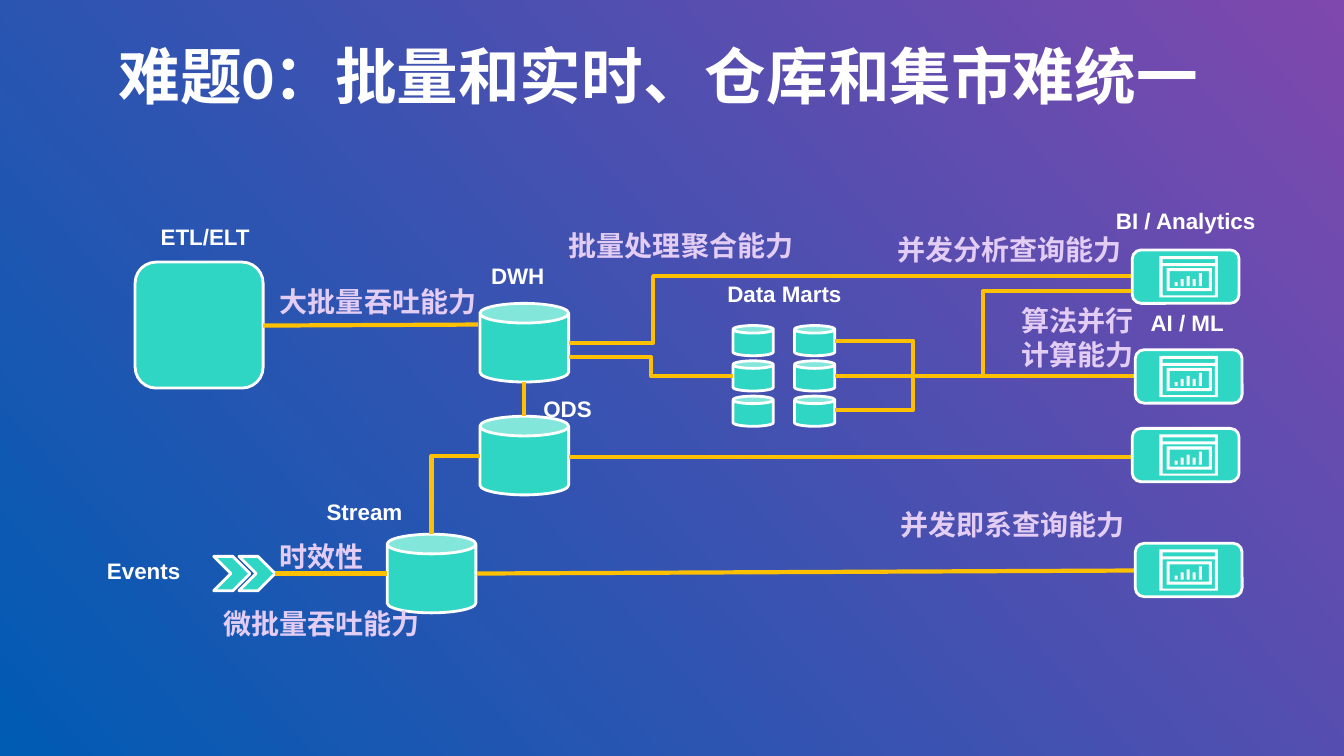
"""Draw the slide on why batch and live data, warehouse and marts are hard to unify."""
from lxml import etree
from pptx import Presentation
from pptx import util as u
from pptx.dml import color
from pptx.enum import shapes, text
from pptx.oxml import ns

I = u.Inches
KIND = shapes.MSO_SHAPE


def hue(code):
    return color.RGBColor.from_string(code)


def put(item, **vals):
    for key, val in vals.items():
        setattr(item, key, val)


class Board:
    """Holds the style and the slide being drawn."""

    teal, white, gold, lilac = "2FD6C3", "FFFFFF", "FFC000", "E4CDF5"
    head = dict(size=u.Pt(44), name="Calibri", bold=True)
    label = dict(size=u.Pt(16), name="Arial", bold=True)
    note = dict(size=u.Pt(20), name="Arial", bold=True)
    inset = dict(margin_left=I(0.05), margin_right=I(0.05),
                 margin_top=I(0.02), margin_bottom=I(0.02), word_wrap=True)

    def __init__(self, deck):
        self.slide = deck.slides.add_slide(deck.slide_layouts[5])
        self.items = self.slide.shapes

    def ground(self, low, high, angle):
        fill = self.slide.background.fill
        fill.gradient()
        fill.gradient_angle = angle
        for stop, code, spot in zip(fill.gradient_stops, (low, high), (0, 1)):
            stop.color.rgb = hue(code)
            stop.position = spot

    def title(self, words, x, y, w, h):
        box = self.items.title
        put(box, left=I(x), top=I(y), width=I(w), height=I(h))
        put(box.text_frame, text=words, vertical_anchor=text.MSO_ANCHOR.MIDDLE,
            auto_size=text.MSO_AUTO_SIZE.NONE)
        para = box.text_frame.paragraphs[0]
        put(para, alignment=text.PP_ALIGN.LEFT, line_spacing=0.9)
        put(para.font, **self.head)
        para.font.color.rgb = hue(self.white)

    def words(self, lines, x, y, w, h, font, code, gap=0):
        frame = self.items.add_textbox(I(x), I(y), I(w), I(h)).text_frame
        put(frame, text=lines, auto_size=text.MSO_AUTO_SIZE.SHAPE_TO_FIT_TEXT,
            **self.inset)
        for rank, para in enumerate(frame.paragraphs):
            para.alignment = text.PP_ALIGN.CENTER
            put(para.font, **font)
            para.font.color.rgb = hue(code)
            if rank and gap:
                para.space_before = u.Pt(gap)

    def paint(self, shape, code, edge=None):
        shape.shadow.inherit = False
        shape.fill.solid()
        shape.fill.fore_color.rgb = hue(code)
        if edge:
            shape.line.color.rgb = hue(edge)
            shape.line.width = u.Pt(2)
        else:
            shape.line.fill.background()

    def block(self, kind, x, y, w, h):
        shape = self.items.add_shape(kind, I(x), I(y), I(w), I(h))
        self.paint(shape, self.teal, self.white)

    def bar(self, x, y, w, h):
        shape = self.items.add_shape(KIND.RECTANGLE, I(x), I(y), I(w), I(h))
        self.paint(shape, self.white)

    def frame(self, x, y, rings):
        pen = None
        for left, top, right, low in rings:
            pts = [(I(x + a), I(y + b)) for a, b in
                   ((left, top), (right, top), (right, low), (left, low))]
            if pen is None:
                pen = self.items.build_freeform(*pts[0])
            else:
                pen.move_to(*pts[0])
            pen.add_line_segments(pts[1:], close=True)
        self.paint(pen.convert_to_shape(), self.white)

    def screen(self, x, y):
        self.block(KIND.ROUNDED_RECTANGLE, x, y, 1.06, 0.53)
        x, y = 11.5, y + 0.06
        self.frame(x, y, [(0.07, 0.12, 0.52, 0.35), (0.1, 0.15, 0.49, 0.32)])
        self.frame(x, y, [(0, 0, 0.58, 0.41), (0.03, 0.03, 0.55, 0.07),
                          (0.03, 0.1, 0.55, 0.39)])
        for rank, tall in enumerate((0.04, 0.07, 0.1, 0.07, 0.13)):
            self.bar(x + 0.15 + 0.06 * rank, y + 0.3 - tall, 0.03, tall)

    def link(self, x1, y1, x2, y2, bend=None, preset="bentConnector3"):
        kind = shapes.MSO_CONNECTOR.ELBOW if bend else shapes.MSO_CONNECTOR.STRAIGHT
        line = self.items.add_connector(kind, I(x1), I(y1), I(x2), I(y2))
        line.line.color.rgb = hue(self.gold)
        line.line.width = u.Pt(3)
        props = line._element.spPr
        etree.SubElement(props, ns.qn("a:effectLst"))
        if bend:
            geom = props.find(ns.qn("a:prstGeom"))
            geom.set("prst", preset)
            if preset == "bentConnector3":
                guides = geom.find(ns.qn("a:avLst"))
                if guides is None:
                    guides = etree.SubElement(geom, ns.qn("a:avLst"))
                etree.SubElement(guides, ns.qn("a:gd"), name="adj1",
                                 fmla=f"val {round(bend * 100000)}")


def main():
    deck = Presentation()
    put(deck, slide_width=I(13.33), slide_height=I(7.5))
    board = Board(deck)
    board.ground("005BB3", "7F48AE", 42)
    board.title("难题0：批量和实时、仓库和集市难统一", 1.08, 0.41, 11.27, 0.75)

    for x in (2.37, 2.12):
        board.block(KIND.CHEVRON, x, 5.52, 0.36, 0.34)
    board.block(KIND.ROUNDED_RECTANGLE, 1.34, 2.6, 1.27, 1.25)
    for x, y in ((4.76, 3.01), (4.76, 4.13), (3.84, 5.3)):
        board.block(KIND.CAN, x, y, 0.88, 0.78)

    for route in ((2.73, 5.69, 3.84, 5.69), (4.74, 3.22, 2.61, 3.23),
                  (5.2, 4.13, 5.2, 3.79), (5.64, 4.53, 11.23, 4.53),
                  (5.64, 3.4, 11.23, 2.74, 0.15)):
        board.link(*route)
    for row in range(3):
        for col in range(2):
            board.block(KIND.CAN, 7.27 + 0.61 * col, 3.23 + 0.35 * row, 0.4, 0.3)
    for route in ((8.28, 3.38, 11.26, 3.73, 0.26), (8.28, 3.73, 11.26, 3.73),
                  (8.28, 4.07, 11.26, 3.73, 0.26), (7.27, 3.73, 5.64, 3.54, 0.5),
                  (4.76, 4.52, 4.28, 5.3, 1, "bentConnector2"),
                  (4.73, 5.69, 11.26, 5.66)):
        board.link(*route)
    for x, y in ((11.26, 3.47), (11.23, 4.25), (11.23, 2.48), (11.26, 5.39)):
        board.screen(x, y)
    board.link(8.28, 3.73, 11.22, 2.89, 0.5)

    for name, x, y, w in (
            ("BI / Analytics", 10.94, 2.03, 1.64), ("Events", 0.96, 5.51, 0.93),
            ("ETL/ELT", 1.49, 2.19, 1.09), ("DWH", 4.78, 2.58, 0.71),
            ("ODS", 5.3, 3.9, 0.66), ("Data Marts", 7.1, 2.76, 1.36),
            ("Stream", 3.08, 4.92, 1.07), ("AI / ML", 11.31, 3.05, 0.93)):
        board.words(name, x, y, w, 0.32, board.label, board.white)
    for lines, x, y, w, h, gap in (
            ("时效性\n微批量吞吐能力", 2.06, 5.33, 2.26, 1.39, 24),
            ("大批量吞吐能力", 2.44, 2.8, 2.62, 0.38, 0),
            ("批量处理聚合能力", 5.51, 2.25, 2.49, 0.38, 0),
            ("并发即系查询能力", 8.83, 5.01, 2.43, 0.39, 0),
            ("并发分析查询能力", 8.83, 2.29, 2.37, 0.39, 0),
            ("算法并行\n计算能力", 9.72, 2.99, 1.93, 0.72, 0)):
        board.words(lines, x, y, w, h, board.note, board.lilac, gap)
    deck.save("out.pptx")


if __name__ == "__main__":
    main()
